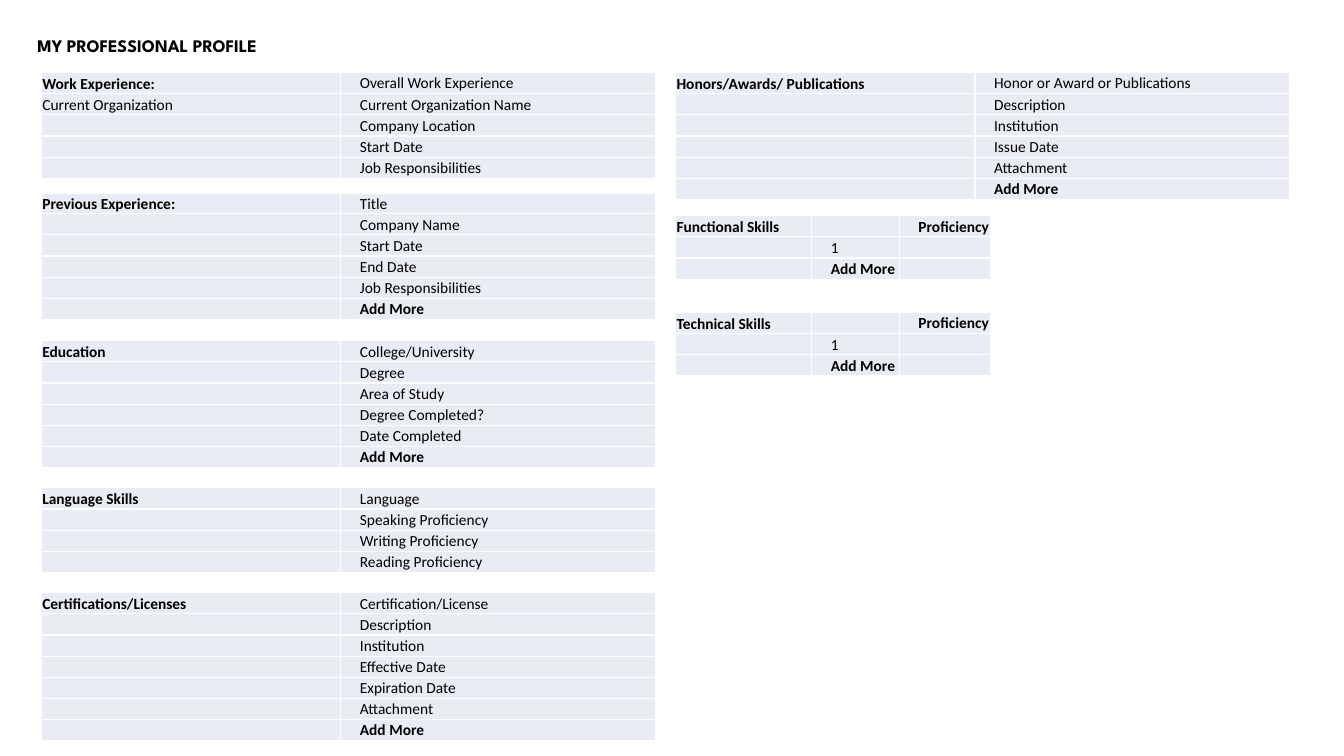
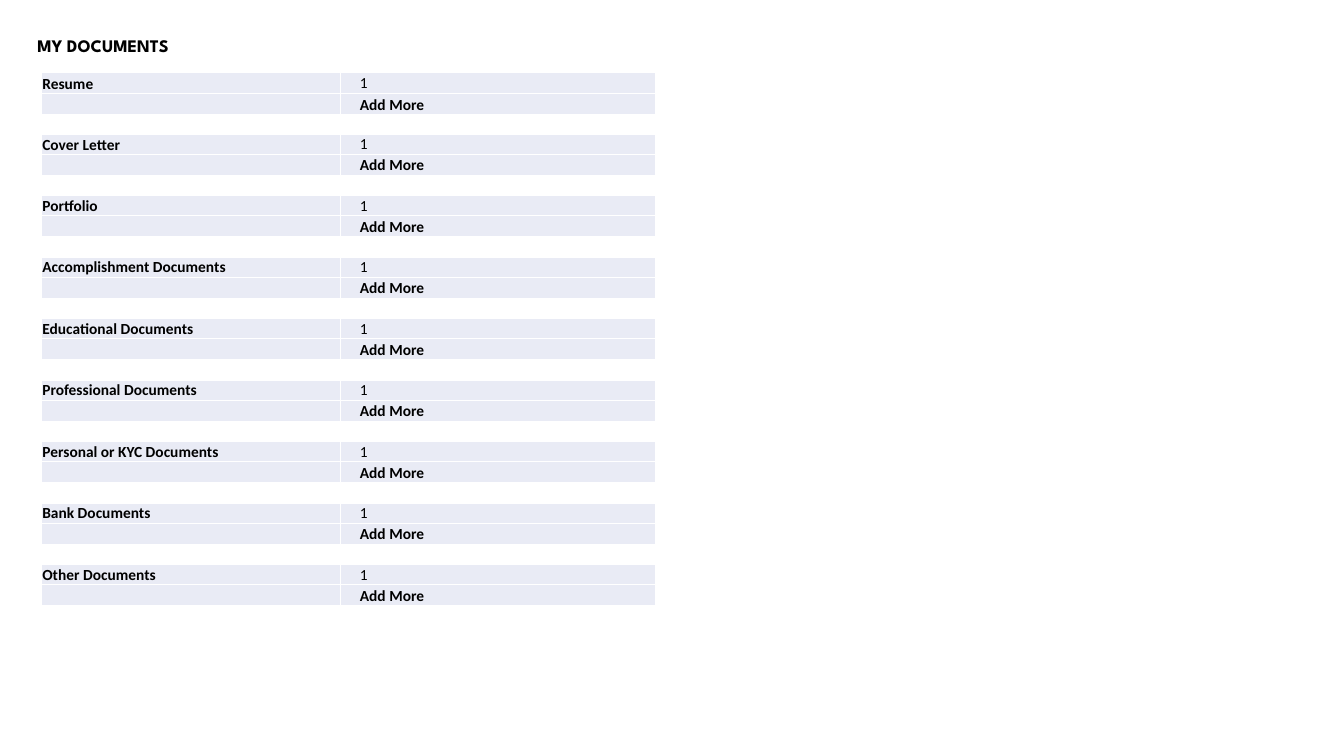
from itertools import zip_longest

from lxml.etree import SubElement
from pptx import Presentation
from pptx.dml.color import RGBColor
from pptx.enum.text import MSO_ANCHOR as Anchor, MSO_AUTO_SIZE as AutoSize, PP_ALIGN as Align
from pptx.oxml.ns import qn
from pptx.util import Inches, Pt

LEFT_COLUMN, RIGHT_COLUMN = 0.41, 6.7
TABLES_TOP = 0.72
SECTION_WIDTHS = (2.97, 3.12)
SKILL_WIDTHS = (1.35, 0.87, 0.91)
DOCUMENT_PITCH = 0.61
ROW_HEIGHT, SHORT_ROW_HEIGHT = 0.21, 0.2
ADD_MORE = "Add More"
PROFICIENCY = "Proficiency"

# left, top, first row height, labels, fields
PROFILE_SECTIONS = [
    (LEFT_COLUMN, TABLES_TOP, ROW_HEIGHT, ["Work Experience:", "Current Organization"],
     ["Overall Work Experience", "Current Organization Name", "Company Location",
      "Start Date", "Job Responsibilities"]),
    (LEFT_COLUMN, 1.92, SHORT_ROW_HEIGHT, ["Previous Experience:"],
     ["Title", "Company Name", "Start Date", "End Date", "Job Responsibilities", ADD_MORE]),
    (LEFT_COLUMN, 3.38, ROW_HEIGHT, ["Education"],
     ["College/University", "Degree", "Area of Study", "Degree Completed?",
      "Date Completed", ADD_MORE]),
    (LEFT_COLUMN, 4.84, ROW_HEIGHT, ["Language Skills"],
     ["Language", "Speaking Proficiency", "Writing Proficiency", "Reading Proficiency"]),
    (LEFT_COLUMN, 5.88, ROW_HEIGHT, ["Certifications/Licenses"],
     ["Certification/License", "Description", "Institution", "Effective Date",
      "Expiration Date", "Attachment", ADD_MORE]),
    (RIGHT_COLUMN, TABLES_TOP, ROW_HEIGHT, ["Honors/Awards/ Publications"],
     ["Honor or Award or Publications", "Description", "Institution", "Issue Date",
      "Attachment", ADD_MORE]),
]
SKILLS = [("Functional Skills", 2.14), ("Technical Skills", 3.1)]
DOCUMENTS = [
    "Resume", "Cover Letter", "Portfolio", "Accomplishment Documents",
    "Educational Documents", "Professional Documents", "Personal or KYC Documents",
    "Bank Documents", "Other Documents",
]


def color(hex_value):
    return RGBColor.from_string(hex_value)


class Deck:
    """Holds the shared style and the slide being filled."""

    text_color = "000000"
    cell_color = "E9EBF5"
    title_font, title_size = "League Spartan", 12.6
    body_font, body_size = "Calibri", 11

    def __init__(self):
        self.presentation = Presentation()
        self.presentation.slide_width = Inches(13.33)
        self.presentation.slide_height = Inches(7.5)
        self.slide = None

    def style_font(self, font, name, size, bold):
        font.name, font.size, font.bold = name, Pt(size), bold
        font.color.rgb = color(self.text_color)

    def add_slide(self, title):
        self.slide = self.presentation.slides.add_slide(self.presentation.slide_layouts[5])
        shape = self.slide.shapes.title
        shape.left, shape.top = Inches(0.27), Inches(0.32)
        shape.width, shape.height = Inches(2.89), Inches(0.29)
        frame = shape.text_frame
        frame.text = title
        frame.auto_size = AutoSize.NONE
        frame.vertical_anchor = Anchor.MIDDLE
        paragraph = frame.paragraphs[0]
        paragraph.alignment = Align.LEFT
        paragraph.line_spacing = 0.9
        self.style_font(paragraph.font, self.title_font, self.title_size, True)

    def fill_cell(self, cell, text, is_label, bold):
        cell.fill.solid()
        cell.fill.fore_color.rgb = color(self.cell_color)
        cell.vertical_anchor = Anchor.BOTTOM if is_label else Anchor.MIDDLE
        cell.margin_left = Inches(0.01 if is_label else 0.19)
        cell.margin_top = cell.margin_right = Inches(0.01)
        cell.margin_bottom = 0
        paragraph = cell.text_frame.paragraphs[0]
        if text:
            paragraph.text = text
            self.style_font(paragraph.font, self.body_font, self.body_size, bold)
        else:
            # The end mark's size keeps an empty cell from stretching its row.
            SubElement(paragraph._p, qn("a:endParaRPr"), sz=str(self.body_size * 100))

    def add_table(self, left, top, widths, rows, first_height=ROW_HEIGHT):
        heights = [first_height] + [ROW_HEIGHT] * (len(rows) - 1)
        table = self.slide.shapes.add_table(
            len(rows), len(widths), Inches(left), Inches(top),
            Inches(sum(widths)), Inches(sum(heights))).table
        table.first_row = table.horz_banding = False
        for column, width in zip(table.columns, widths):
            column.width = Inches(width)
        for row_index, (row, height, texts) in enumerate(zip(table.rows, heights, rows)):
            row.height = Inches(height)
            for column_index, (cell, text) in enumerate(zip(row.cells, texts)):
                is_label = column_index == 0
                bold = (is_label and row_index == 0) or text in (ADD_MORE, PROFICIENCY)
                self.fill_cell(cell, text, is_label, bold)

    def add_section(self, left, top, first_height, labels, fields):
        """Table with labels on the left and one field per row on the right."""
        rows = list(zip_longest(labels, fields, fillvalue=""))
        self.add_table(left, top, SECTION_WIDTHS, rows, first_height)


def main():
    deck = Deck()

    deck.add_slide("MY PROFESSIONAL PROFILE")
    for section in PROFILE_SECTIONS:
        deck.add_section(*section)
    for skill, top in SKILLS:
        rows = [(skill, "", PROFICIENCY), ("", "1", ""), ("", ADD_MORE, "")]
        deck.add_table(RIGHT_COLUMN, top, SKILL_WIDTHS, rows)

    deck.add_slide("MY DOCUMENTS")
    for index, document in enumerate(DOCUMENTS):
        first_height = SHORT_ROW_HEIGHT if index else ROW_HEIGHT
        deck.add_section(LEFT_COLUMN, TABLES_TOP + index * DOCUMENT_PITCH, first_height,
                         [document], ["1", ADD_MORE])

    deck.presentation.save("out.pptx")


if __name__ == "__main__":
    main()
